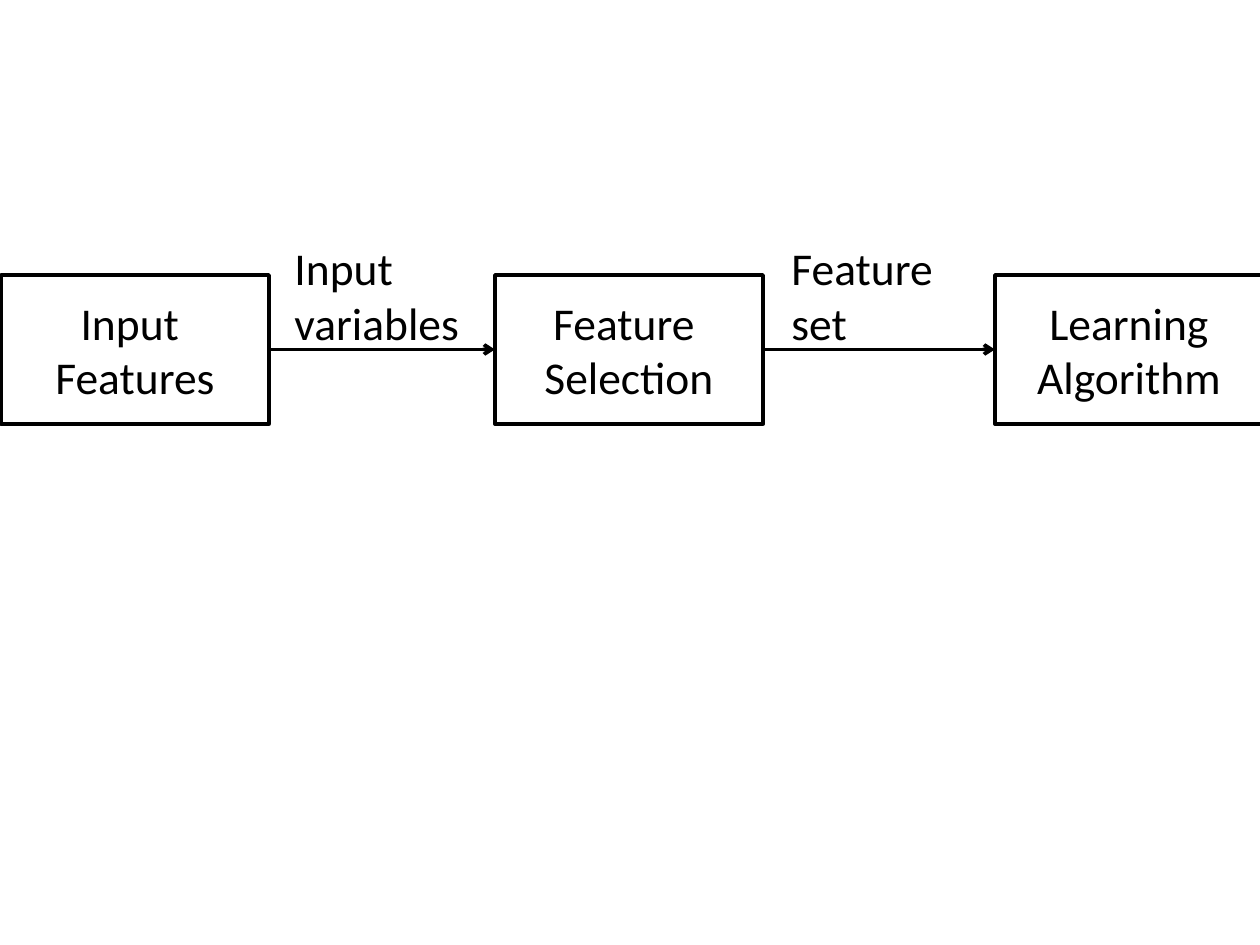
"""Build a slide showing the feature selection pipeline."""
import lxml.etree
import pptx
import pptx.dml.color
import pptx.enum.shapes
import pptx.enum.text
import pptx.oxml.ns
import pptx.util

STAGES = [
    (1, "Input \nFeatures"),
    (495, "Feature \nSelection"),
    (995, "Learning Algorithm"),
]
FLOWS = [(282, "Input\nvariables"), (779, "Feature\nset")]
BOX_TOP, BOX_WIDTH, BOX_HEIGHT = 275, 268, 149
LABEL_TOP, LABEL_WIDTH, LABEL_HEIGHT = 234, 198, 123
BLACK = "000000"
SCALE = 914400 / 126


def px(length):
    return pptx.util.Emu(round(length * SCALE))


def color(value):
    return pptx.dml.color.RGBColor.from_string(value)


def write_text(shape, text, alignment):
    shape.text_frame.word_wrap = True
    shape.text_frame.text = text
    for paragraph in shape.text_frame.paragraphs:
        paragraph.alignment = alignment
        for run in paragraph.runs:
            run.font.name = "Calibri"
            run.font.size = pptx.util.Pt(26)
            run.font.color.rgb = color(BLACK)


def style_line(shape):
    shape.line.color.rgb = color(BLACK)
    shape.line.width = pptx.util.Pt(2)


def add_stage(slide, left, text):
    box = slide.shapes.add_shape(
        pptx.enum.shapes.MSO_SHAPE.RECTANGLE,
        px(left), px(BOX_TOP), px(BOX_WIDTH), px(BOX_HEIGHT))
    box.shadow.inherit = False
    box.fill.background()
    style_line(box)
    box.text_frame.vertical_anchor = pptx.enum.text.MSO_ANCHOR.MIDDLE
    write_text(box, text, pptx.enum.text.PP_ALIGN.CENTER)
    return box


def add_arrow(slide, source, target):
    arrow = slide.shapes.add_connector(
        pptx.enum.shapes.MSO_CONNECTOR.STRAIGHT, 0, 0, 0, 0)
    arrow.begin_connect(source, 3)
    arrow.end_connect(target, 1)
    style_line(arrow)
    qualified = pptx.oxml.ns.qn
    lxml.etree.SubElement(
        arrow.line._get_or_add_ln(), qualified("a:tailEnd"), type="arrow")
    lxml.etree.SubElement(arrow._element.spPr, qualified("a:effectLst"))


def add_label(slide, left, text):
    label = slide.shapes.add_textbox(
        px(left), px(LABEL_TOP), px(LABEL_WIDTH), px(LABEL_HEIGHT))
    write_text(label, text, pptx.enum.text.PP_ALIGN.LEFT)
    label.text_frame.auto_size = pptx.enum.text.MSO_AUTO_SIZE.SHAPE_TO_FIT_TEXT


def main():
    presentation = pptx.Presentation()
    presentation.slide_width = px(1260)
    presentation.slide_height = px(945)
    slide = presentation.slides.add_slide(presentation.slide_layouts[6])
    boxes = [add_stage(slide, left, text) for left, text in STAGES]
    for source, target in zip(boxes, boxes[1:]):
        add_arrow(slide, source, target)
    for left, text in FLOWS:
        add_label(slide, left, text)
    presentation.save("out.pptx")


if __name__ == "__main__":
    main()
